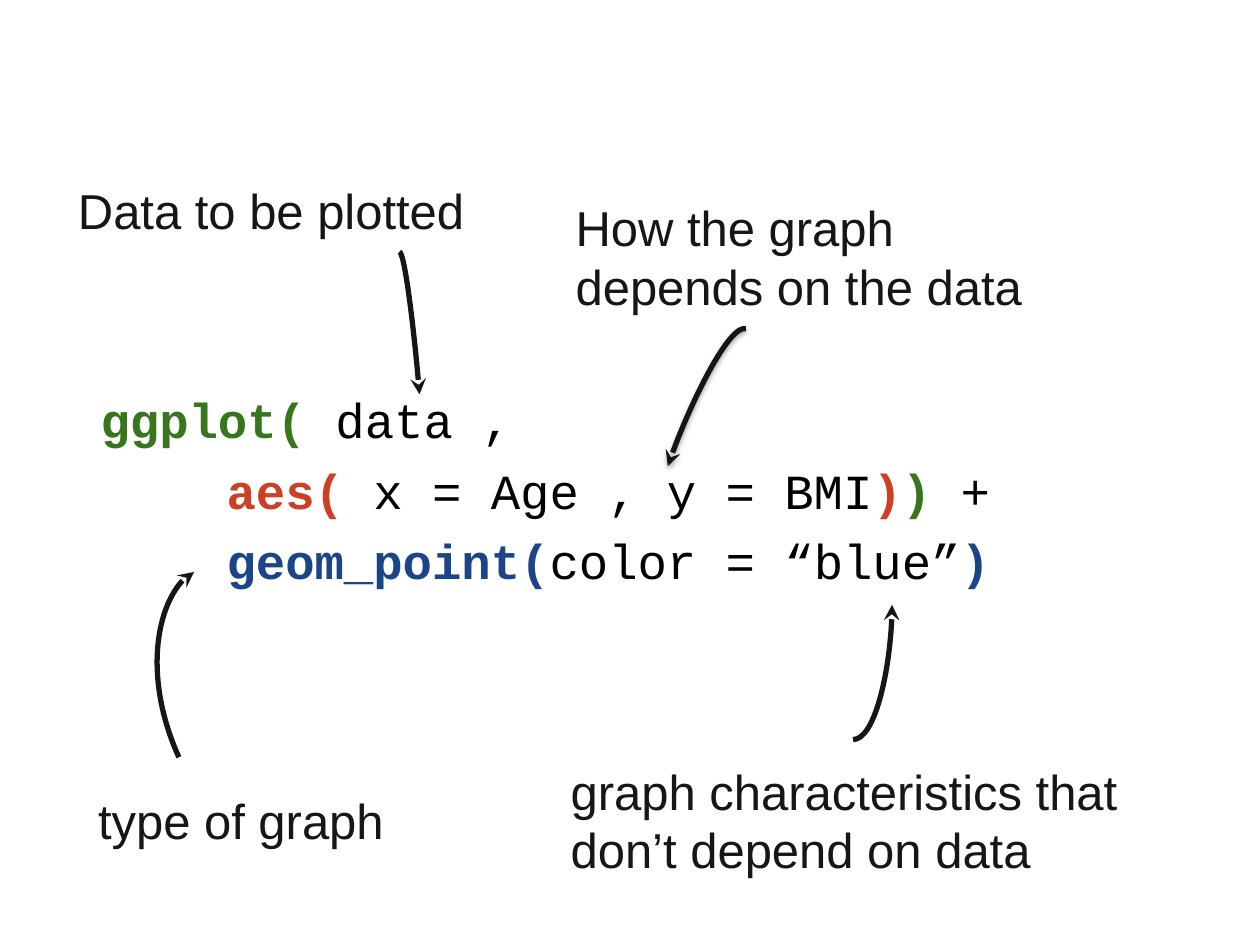
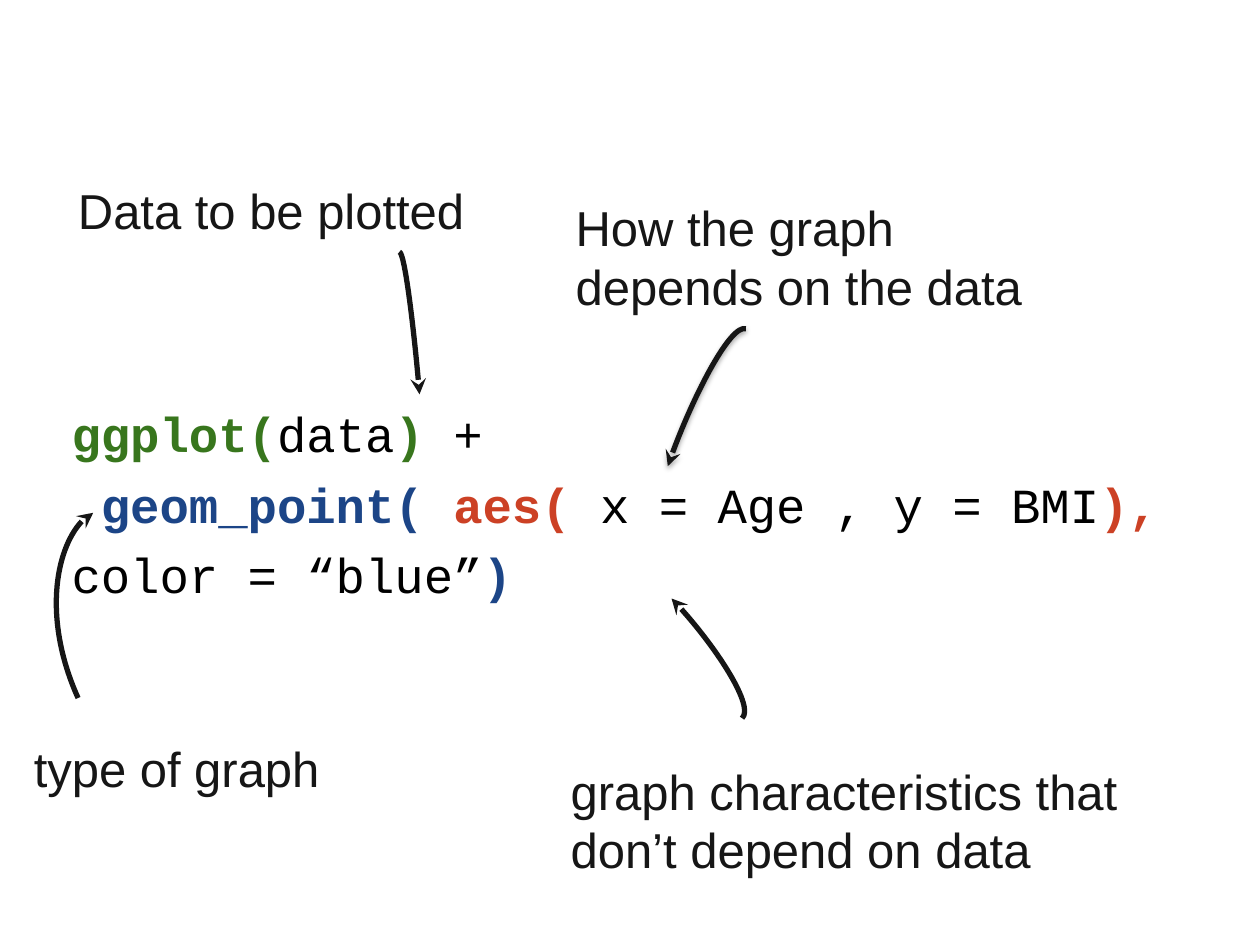
from lxml import etree
from pptx import Presentation
from pptx.dml.color import RGBColor
from pptx.oxml import parse_xml
from pptx.oxml.ns import nsdecls, qn
from pptx.util import Inches, Pt

INK, BLACK = "161616", "000000"
GREEN, RED, BLUE = "38761D", "CC4125", "1C4587"
LABEL_FONT, CODE_FONT, TEXT_SIZE = "Arial", "Courier New", 28
CODE_TAB = 1

SHARED_LABELS = [
    ("Data to be plotted", (0.52, 1.33, 3.42, 0.35)),
    ("How the graph depends on the data", (4.47, 1.47, 4.24, 0.35)),
    ("graph characteristics that don’t depend on data", (4.43, 5.94, 4.99, 0.35)),
]
DATA_ARROW = [(3.17, 2), (3.21, 2), (3.29, 2.64), (3.33, 3.13)]
AES_ARROW = [(5.92, 2.61), (5.8, 2.57), (5.47, 3.2), (5.3, 3.7)]
TYPE_CURVE = [(0, 0), (-0.28, -0.62), (-0.16, -1.34), (0.12, -1.47)]

SLIDES = [
    {
        "code_box": (0.7, 2.9, 8.01, 1.9),
        "code": [
            [("ggplot( ", GREEN), ("data ,", BLACK)],
            [("\t", GREEN), ("aes( ", RED), ("x = Age , y = BMI", BLACK),
             (")", RED), (") ", GREEN), ("+", BLACK)],
            [("\t", BLACK), ("geom_point(", BLUE), ("color = “blue”", BLACK), (")", BLUE)],
        ],
        "type_label": (0.68, 6.17, 3.62, 0.35),
        "type_start": (1.42, 6.01),
        "color_arrow": [(6.77, 5.87), (6.94, 5.87), (7.08, 5.26), (7.08, 4.8)],
    },
    {
        "code_box": (0.47, 3.01, 9.7, 1.9),
        "code": [
            [("ggplot(", GREEN), ("data", BLACK), (") ", GREEN), ("+", BLACK)],
            [(" geom_point( ", BLUE), ("aes( ", RED), ("x = Age , y = BMI", BLACK), ("),", RED)],
            [("color = “blue”", BLACK), (")", BLUE)],
        ],
        "type_label": (0.17, 5.76, 3.62, 0.35),
        "type_start": (0.62, 5.54),
        "color_arrow": [(5.89, 5.7), (5.99, 5.61), (5.65, 5.08), (5.33, 4.75)],
    },
]


def rgb(color):
    return RGBColor.from_string(color)


def add_tab_stop(p, position):
    tabs = etree.SubElement(p._p.get_or_add_pPr(), qn("a:tabLst"))
    etree.SubElement(tabs, qn("a:tab"), pos=str(Inches(position)), algn="l")


def add_text(s, box, lines, font, line_spacing=None):
    tf = s.shapes.add_textbox(*map(Inches, box)).text_frame
    tf.word_wrap = True
    tf.margin_left = tf.margin_right = tf.margin_top = tf.margin_bottom = Inches(0.1)
    for i, line in enumerate(lines):
        p = tf.paragraphs[0] if i == 0 else tf.add_paragraph()
        p.line_spacing = line_spacing
        if line[0][0] == "\t":
            add_tab_stop(p, CODE_TAB)
        for text, color in line:
            r = p.add_run()
            r.text = text
            r.font.name, r.font.size = font, Pt(TEXT_SIZE)
            r.font.color.rgb = rgb(color)
            r.font.bold = color in (GREEN, RED, BLUE)


def add_curved_arrow(s, points, shadow=False):
    start, *rest = [(Inches(x), Inches(y)) for x, y in points]
    builder = s.shapes.build_freeform(*start)
    builder.add_line_segments(rest, close=False)
    sp = builder.convert_to_shape()
    sp.shadow.inherit = False
    sp.fill.background()
    sp.line.color.rgb = rgb(INK)
    sp.line.width = Pt(3)
    etree.SubElement(sp.line._get_or_add_ln(), qn("a:tailEnd"), type="stealth")

    path = sp._element.spPr.find(".//" + qn("a:path"))
    curve = etree.SubElement(path, qn("a:cubicBezTo"))
    for segment in path.findall(qn("a:lnTo")):
        curve.append(segment[0])
        path.remove(segment)

    if shadow:
        sp._element.spPr.find(qn("a:effectLst")).append(parse_xml(
            f'<a:outerShdw {nsdecls("a")} blurRad="{Pt(3.1)}" dist="{Pt(1.8)}" '
            f'dir="5400000" rotWithShape="0"><a:srgbClr val="{BLACK}">'
            '<a:alpha val="35000"/></a:srgbClr></a:outerShdw>'))


def build_slide(prs, content):
    s = prs.slides.add_slide(prs.slide_layouts[6])
    add_text(s, content["code_box"], content["code"], CODE_FONT, 1.2)
    for text, box in SHARED_LABELS + [("type of graph", content["type_label"])]:
        add_text(s, box, [[(text, INK)]], LABEL_FONT)
    x, y = content["type_start"]
    add_curved_arrow(s, content["color_arrow"])
    add_curved_arrow(s, [(x + dx, y + dy) for dx, dy in TYPE_CURVE])
    add_curved_arrow(s, DATA_ARROW)
    add_curved_arrow(s, AES_ARROW, shadow=True)


def main():
    prs = Presentation()
    prs.slide_width, prs.slide_height = Inches(10), Inches(7.5)
    for content in SLIDES:
        build_slide(prs, content)
    prs.save("out.pptx")


if __name__ == "__main__":
    main()
